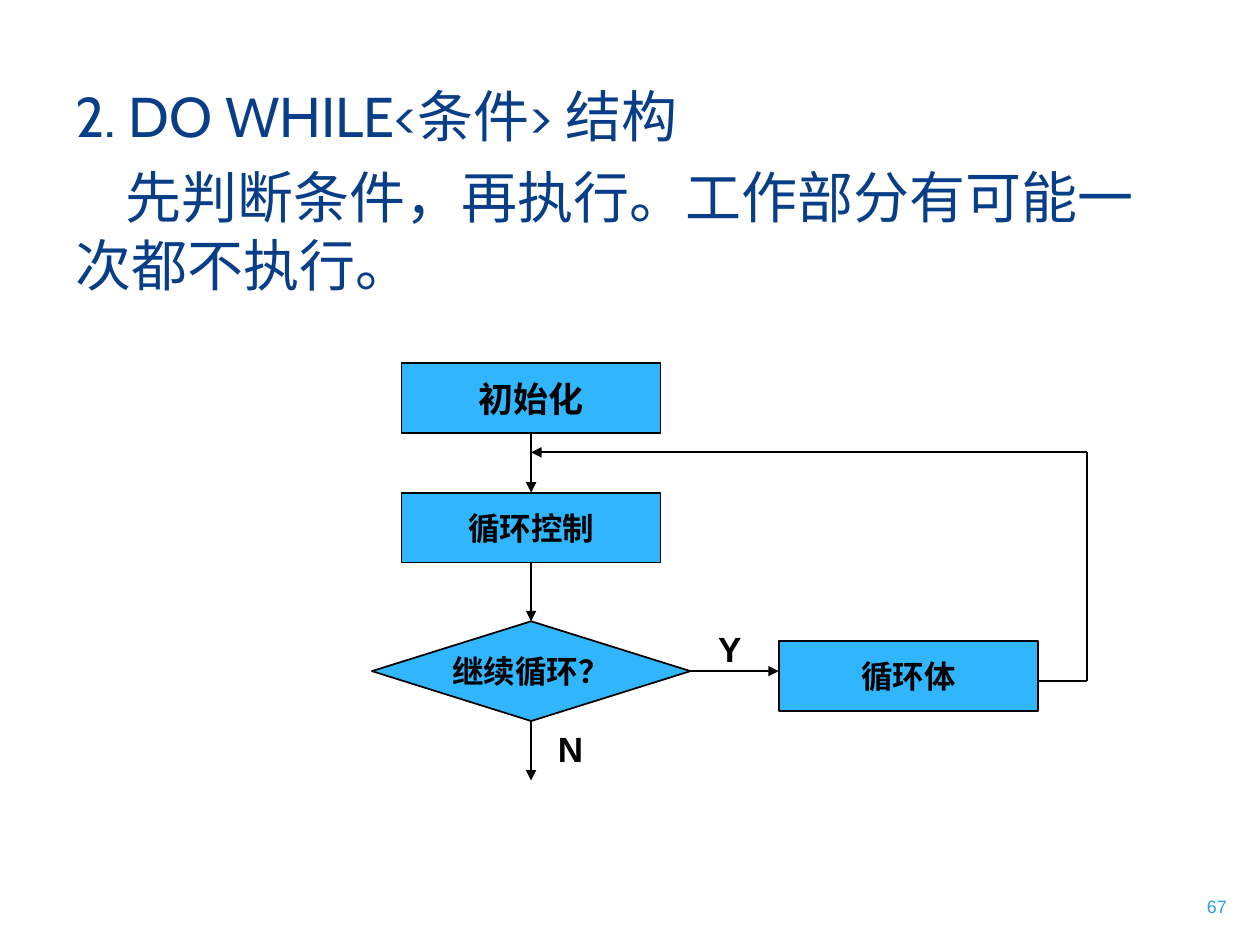
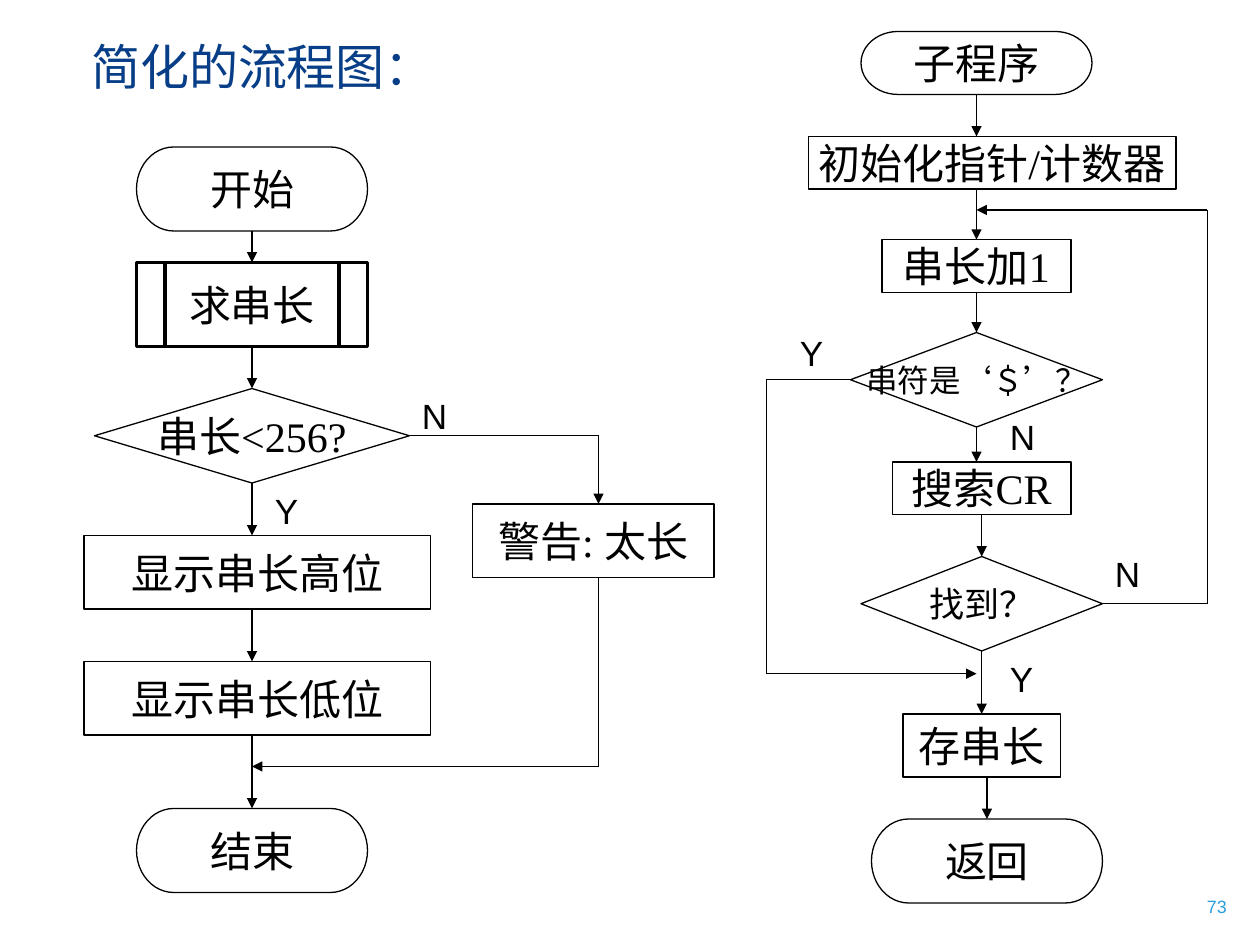
"""Build two flowchart slides about loop structures and subroutines."""
from dataclasses import dataclass
from itertools import pairwise

from lxml import etree
from pptx import Presentation
from pptx.dml.color import RGBColor
from pptx.enum.shapes import MSO_CONNECTOR, MSO_SHAPE
from pptx.enum.text import MSO_ANCHOR, PP_ALIGN
from pptx.oxml.ns import qn
from pptx.util import Pt

RECT = MSO_SHAPE.RECTANGLE
PROCESS = MSO_SHAPE.FLOWCHART_PROCESS
DECISION = MSO_SHAPE.FLOWCHART_DECISION
TERMINATOR = MSO_SHAPE.FLOWCHART_TERMINATOR
SUBROUTINE = MSO_SHAPE.FLOWCHART_PREDEFINED_PROCESS
STRAIGHT = MSO_CONNECTOR.STRAIGHT
MIDDLE = MSO_ANCHOR.MIDDLE
LEFT, CENTER, RIGHT = PP_ALIGN.LEFT, PP_ALIGN.CENTER, PP_ALIGN.RIGHT


@dataclass(frozen=True)
class Theme:
    """Colours, fonts and type sizes of the deck."""
    ink: str = "000000"
    heading: str = "073E87"
    page: str = "2AA0DF"
    box: str = "31B6FD"
    heading_font: str = "Cabin"
    cjk_font: str = "Noto Sans CJK SC"
    sans: str = "Arial"
    serif: str = "Times New Roman"
    lead_size: float = 32
    title_size: float = 28
    step_size: float = 24
    label_size: float = 20
    small_size: float = 18
    page_size: float = 10.2


THEME = Theme()


@dataclass(frozen=True)
class Style:
    """Character format and alignment of a text."""
    size: float
    font: str
    color: str = THEME.ink
    bold: bool = False
    align: PP_ALIGN = CENTER


@dataclass(frozen=True)
class Step:
    """One flowchart symbol, measured in points."""
    kind: MSO_SHAPE
    text: str
    left: float
    top: float
    width: float
    height: float
    size: float = THEME.step_size
    line: float = 0.75

    def sites(self) -> list[tuple[float, float]]:
        """Return the side middles: top, left, bottom, right."""
        middle_x, middle_y = self.left + self.width / 2, self.top + self.height / 2
        return [(middle_x, self.top), (self.left, middle_y),
                (middle_x, self.top + self.height), (self.left + self.width, middle_y)]


@dataclass(frozen=True)
class Route:
    """A path of straight lines with an arrowhead at its end."""
    points: tuple[tuple[float, float], ...]
    line: float = 0.75


@dataclass(frozen=True)
class Branch:
    """A Y or N answer beside a decision."""
    text: str
    left: float
    top: float
    width: float = 30


@dataclass(frozen=True)
class Chart:
    """The symbols, paths and answers of a slide, with their look."""
    steps: list[Step]
    routes: list[Route]
    branches: list[Branch]
    step_font: str
    branch_align: PP_ALIGN
    bold: bool = False
    fill: str | None = None


def down(x: float, top: float, bottom: float, line: float = 0.75) -> Route:
    """Return a vertical arrow."""
    return Route(((x, top), (x, bottom)), line)


def format_paragraph(paragraph, style: Style) -> None:
    """Apply a style to a paragraph and its runs."""
    paragraph.alignment = style.align
    for run in paragraph.runs:
        run.font.size = Pt(style.size)
        run.font.bold = style.bold
        run.font.name = style.font
        run.font.color.rgb = RGBColor.from_string(style.color)
        east_asian = etree.SubElement(run.font._element, qn("a:ea"))
        east_asian.set("typeface", THEME.cjk_font)


def add_text(slide, lines: list[str], left: float, top: float, width: float,
             height: float, style: Style):
    """Add a wrapping text box and return its paragraphs."""
    frame = slide.shapes.add_textbox(Pt(left), Pt(top), Pt(width), Pt(height)).text_frame
    frame.word_wrap = True
    frame.text = "\n".join(lines)
    for paragraph in frame.paragraphs:
        format_paragraph(paragraph, style)
    return frame.paragraphs


def add_step(slide, step: Step, chart: Chart):
    """Draw one flowchart symbol."""
    symbol = slide.shapes.add_shape(step.kind, Pt(step.left), Pt(step.top),
                                    Pt(step.width), Pt(step.height))
    symbol.shadow.inherit = False
    if chart.fill:
        symbol.fill.solid()
        symbol.fill.fore_color.rgb = RGBColor.from_string(chart.fill)
    else:
        symbol.fill.background()
    symbol.line.color.rgb = RGBColor.from_string(THEME.ink)
    symbol.line.width = Pt(step.line)
    frame = symbol.text_frame
    frame.word_wrap = False
    frame.vertical_anchor = MIDDLE
    frame.text = step.text
    format_paragraph(frame.paragraphs[0], Style(step.size, chart.step_font, bold=chart.bold))
    return symbol


def add_route(slide, route: Route, joints: dict) -> None:
    """Draw a path, joining its ends to symbols they meet mid-side."""
    for start, end in pairwise(route.points):
        connector = slide.shapes.add_connector(STRAIGHT, *map(Pt, start + end))
        connector.line.color.rgb = RGBColor.from_string(THEME.ink)
        connector.line.width = Pt(route.line)
        properties = connector._element.spPr
        if end == route.points[-1]:
            arrow = etree.SubElement(properties.find(qn("a:ln")), qn("a:tailEnd"))
            arrow.set("type", "triangle")
        etree.SubElement(properties, qn("a:effectLst"))
        if start in joints:
            connector.begin_connect(*joints[start])
        if end in joints:
            connector.end_connect(*joints[end])


def add_chart(slide, chart: Chart) -> None:
    """Draw a whole flowchart."""
    joints = {}
    for step in chart.steps:
        symbol = add_step(slide, step, chart)
        joints.update({site: (symbol, side) for side, site in enumerate(step.sites())})
    for route in chart.routes:
        add_route(slide, route, joints)
    answer = Style(THEME.label_size, THEME.sans, bold=chart.bold, align=chart.branch_align)
    for branch in chart.branches:
        add_text(slide, [branch.text], branch.left, branch.top, branch.width, 32, answer)


def add_page(deck, number: int):
    """Add a blank slide with its page number."""
    slide = deck.slides.add_slide(deck.slide_layouts[6])
    style = Style(THEME.page_size, THEME.sans, THEME.page, align=RIGHT)
    add_text(slide, [str(number)], 648, 509.8, 60, 19.4, style)[0].line_spacing = 0.9
    return slide


def loop_chart() -> Chart:
    """Return the pre-tested loop."""
    axis, width, height = 303.5, 148, 40
    left = axis - width / 2
    steps = [
        Step(RECT, "初始化", left, 207.5, width, height, THEME.label_size, 1),
        Step(RECT, "循环体", 445, 366.5, width, height, THEME.small_size, 1),
        Step(RECT, "循环控制", left, 281.5, width, height, THEME.small_size, 1),
        Step(DECISION, "继续循环？", axis - 91, 355, 182, 57, THEME.small_size, 1),
    ]
    routes = [down(axis, top, bottom, 1)
              for top, bottom in ((247.5, 281.5), (321.5, 355), (412, 446))]
    routes += [
        Route(((394.5, 383.5), (445, 383.5)), 1),
        Route(((593, 389), (621, 389), (621, 258.5), (axis, 258.5)), 1),
    ]
    branches = [Branch("Y", 400, 355, 34), Branch("N", 309, 412, 34)]
    return Chart(steps, routes, branches, THEME.sans, CENTER, True, THEME.box)


def length_chart() -> Chart:
    """Return the main program and the string-length subroutine."""
    main_axis, sub_axis, found_axis, exit_axis = 144, 558, 561, 564
    steps = [
        Step(TERMINATOR, "开始", 78, 84, 132, 48),
        Step(SUBROUTINE, "求串长", 78, 150, 132, 48, line=2.25),
        Step(DECISION, "串长<256?", 54, 222, 180, 54),
        Step(PROCESS, "显示串长高位", 48, 306, 198, 42),
        Step(PROCESS, "显示串长低位", 48, 378, 198, 42),
        Step(TERMINATOR, "结束", 78, 462, 132, 48),
        Step(PROCESS, "警告: 太长", 270, 288, 138, 42),
        Step(TERMINATOR, "子程序", 492, 18, 132, 36),
        Step(PROCESS, "初始化指针/计数器", 462, 78, 210, 30),
        Step(PROCESS, "串长加1", 504, 137, 108, 30),
        Step(DECISION, "串符是‘＄’？", 486, 190, 144, 54, THEME.small_size),
        Step(PROCESS, "搜索CR", 510, 264, 102, 30),
        Step(DECISION, "找到？", 492, 318, 138, 54, THEME.label_size),
        Step(PROCESS, "存串长", 516, 408, 90, 36),
        Step(TERMINATOR, "返回", 498, 468, 132, 48),
    ]
    main_gaps = ((132, 150), (198, 222), (276, 306), (348, 378), (420, 462))
    sub_gaps = ((54, 78), (108, 137), (167, 190), (244, 264))
    routes = [down(main_axis, *gap) for gap in main_gaps]
    routes += [down(sub_axis, *gap) for gap in sub_gaps]
    routes += [down(found_axis, *gap) for gap in ((294, 318), (372, 408))]
    routes += [
        down(exit_axis, 444, 468),
        Route(((234, 249), (342, 249), (342, 288))),
        Route(((342, 330), (342, 438), (main_axis, 438))),
        Route(((630, 345), (690, 345), (690, 120), (sub_axis, 120))),
        Route(((486, 217), (438, 217), (438, 385), (sub_axis, 385))),
    ]
    branches = [
        Branch("Y", 150, 276), Branch("N", 234, 222, 42), Branch("N", 570, 234),
        Branch("N", 630, 312), Branch("Y", 570, 372), Branch("Y", 450, 186),
    ]
    return Chart(steps, routes, branches, THEME.serif, LEFT)


def main() -> None:
    """Build and save the deck."""
    deck = Presentation()
    deck.slide_width, deck.slide_height = Pt(720), Pt(540)

    loop_slide = add_page(deck, 67)
    lead = Style(THEME.lead_size, THEME.heading_font, THEME.heading, align=LEFT)
    explanation = add_text(loop_slide, [
        "2. DO WHILE<条件> 结构",
        "先判断条件，再执行。工作部分有可能一次都不执行。",
    ], 36, 43.2, 648, 453.6, lead)[1]
    explanation.space_before = Pt(8)
    explanation._p.get_or_add_pPr().set("indent", str(Pt(28.5)))
    add_chart(loop_slide, loop_chart())

    length_slide = add_page(deck, 73)
    title = Style(THEME.title_size, THEME.cjk_font, THEME.heading)
    add_text(length_slide, ["简化的流程图："], 42, 24, 216, 36, title)[0].line_spacing = 0.8
    add_chart(length_slide, length_chart())

    deck.save("out.pptx")


if __name__ == "__main__":
    main()
